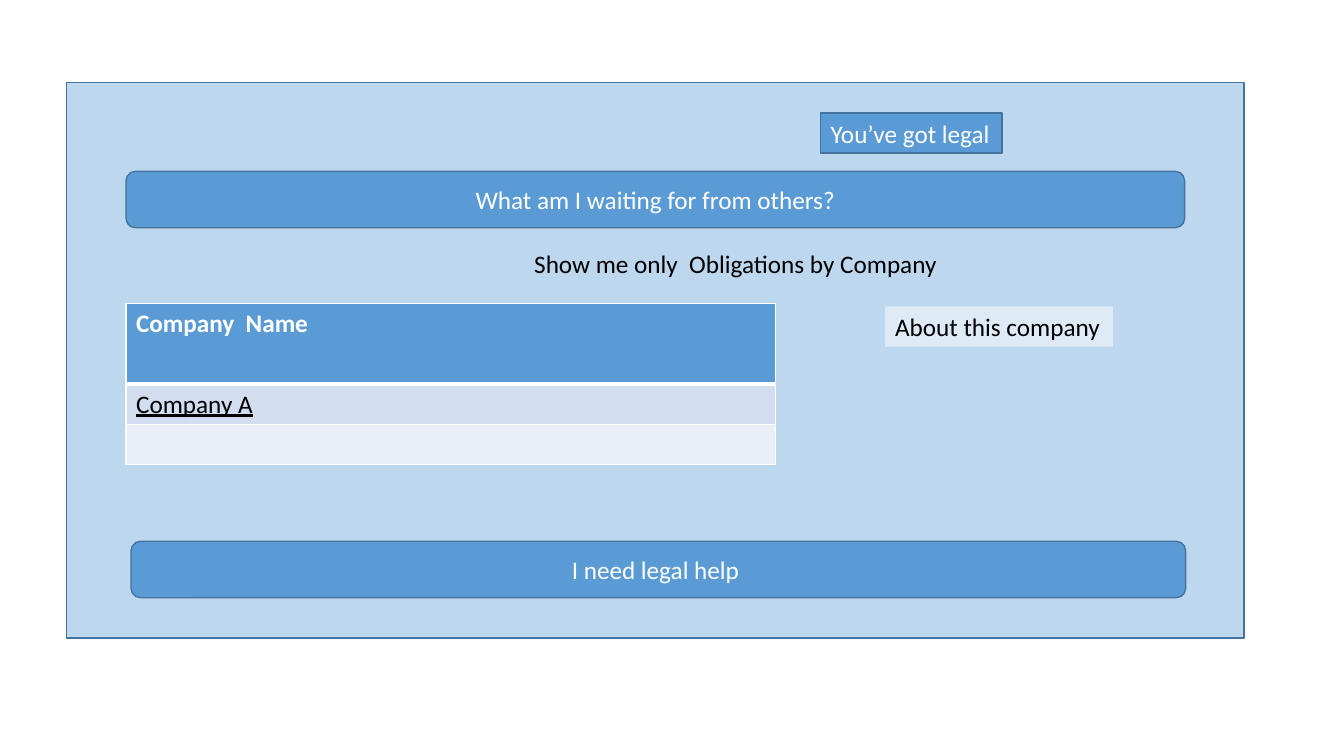
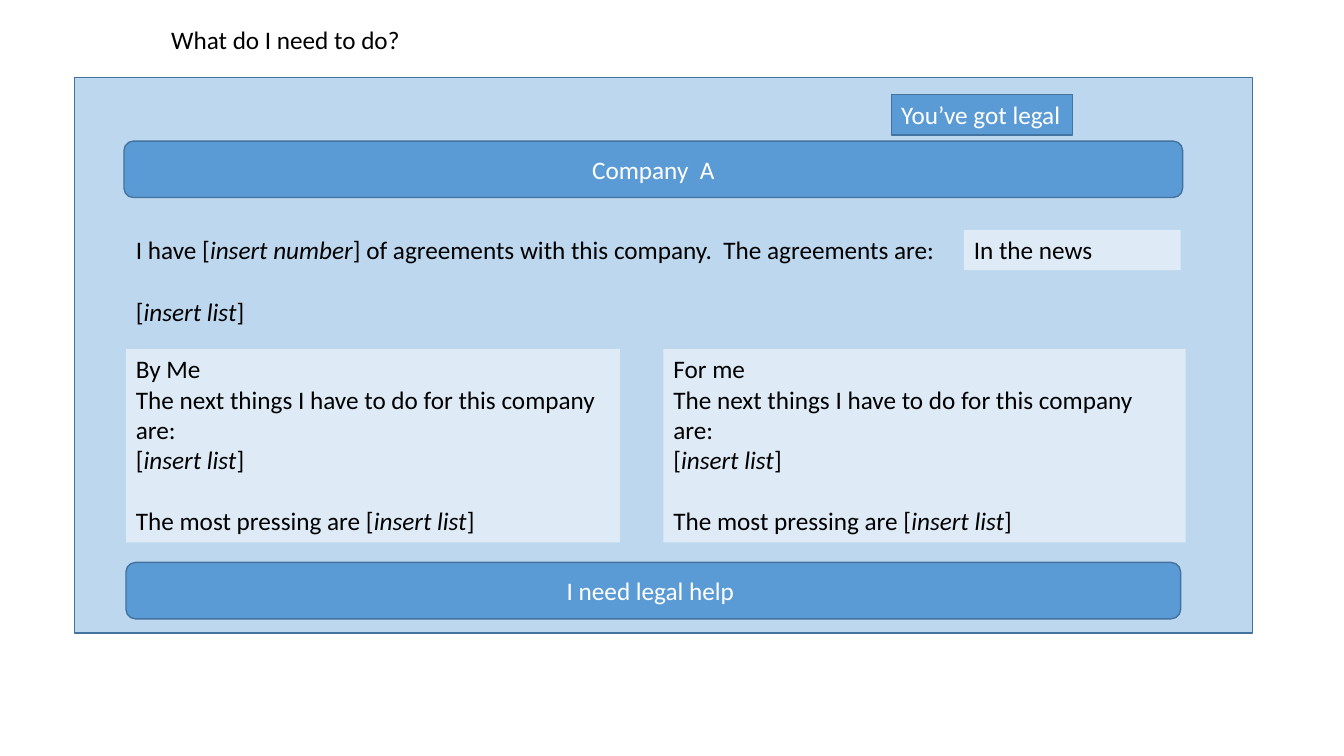
from pptx import Presentation, util as u
from pptx.dml.color import RGBColor
from pptx.enum import shapes as sh, text as tx
from pptx.oxml import parse_xml
from pptx.oxml.ns import nsdecls

FONT, SIZE, LINE = "Calibri", 18, 22
WHITE, BLACK = "FFFFFF", "000000"
BLUE, EDGE = "5B9BD5", "43739E"
RECT, ROUND = sh.MSO_SHAPE.RECTANGLE, sh.MSO_SHAPE.ROUNDED_RECTANGLE

# Looks shared by both slides
LOOKS = {
    "panel": dict(kind=RECT, fill="BDD7EE", edge=EDGE),
    "badge": dict(kind=RECT, fill=BLUE, edge=EDGE, color=WHITE, wrap=False),
    "bar": dict(kind=ROUND, fill=BLUE, edge=EDGE, color=WHITE, mid=True),
    "card": dict(kind=RECT, fill="DEEBF7"),
    "tag": dict(kind=RECT, fill="DEEBF7", wrap=False),
    "label": dict(wrap=False),
    "note": dict(),
}
PANEL, BADGE = (11.68, 5.51), (1.8, 0.4)
TOP_BAR, HELP_BAR = (10.5, 0.56), (10.46, 0.56)
LEGAL, HELP = ["You’ve got legal"], ["I need legal help "]

# Text between stars is italic; a leading ^ leaves one line free above.
LIST = "[*insert list*]"
AGREED = ["I have [*insert number*] of agreements with this company.  "
          "The agreements are:", "^" + LIST]
TASKS = ["The next things I have to do for this company are:", LIST,
         "^The most pressing are " + LIST]

# Per slide: look, left and top, size, paragraphs
SLIDES = [
    [("panel", (0.66, 0.82), PANEL, []),
     ("badge", (8.14, 1.12), BADGE, LEGAL),
     ("bar", (1.25, 1.7), TOP_BAR, ["What am I waiting for from others?"]),
     ("bar", (1.3, 5.37), HELP_BAR, HELP),
     ("label", (5.2, 2.41), (4.25, 0.4),
      ["Show me only  Obligations by Company"]),
     ("tag", (8.78, 3.04), (2.26, 0.4), ["About this company"])],
    [("panel", (0.74, 0.77), PANEL, []),
     ("badge", (8.84, 0.94), BADGE, LEGAL),
     ("bar", (1.23, 1.4), TOP_BAR, ["Company  A"]),
     ("label", (1.6, 0.19), (2.5, 0.4), ["What do I need to do?"]),
     ("bar", (1.25, 5.58), HELP_BAR, HELP),
     ("note", (1.25, 2.28), (8.78, 1.01), AGREED),
     ("card", (1.25, 3.46), (4.9, 1.92), ["By Me "] + TASKS),
     ("card", (6.58, 3.46), (5.18, 1.92), ["For me "] + TASKS),
     ("card", (9.56, 2.28), (2.15, 0.4), ["In the news"])],
]

# Company table: text, row height, fill, bottom border width, font
TABLE_AT, TABLE_W = (1.25, 3.01), 6.44
ROWS = [
    ("Company  Name", 0.8, BLUE, 3, dict(bold=True, color=WHITE)),
    ("Company A", 0.4, "D2DEEF", 1, dict(underline=True, bold=False)),
    ("", 0.4, "EAEFF7", 1, dict(bold=False)),
]


def paint(part, color):
    """Give a fill one solid colour."""
    part.solid()
    part.fore_color.rgb = RGBColor.from_string(color)


def style(font, color=BLACK, **form):
    """Set the shared font and any further format values."""
    form = dict(name=FONT, size=u.Pt(SIZE)) | form
    for key, val in form.items():
        setattr(font, key, val)
    font.color.rgb = RGBColor.from_string(color)


def write(frame, lines, color=BLACK, wrap=True, mid=False):
    """Fill a text frame with paragraphs."""
    form = dict(
        word_wrap=wrap,
        vertical_anchor=tx.MSO_ANCHOR.MIDDLE if mid else tx.MSO_ANCHOR.TOP,
        auto_size=(tx.MSO_AUTO_SIZE.NONE if mid
                   else tx.MSO_AUTO_SIZE.SHAPE_TO_FIT_TEXT))
    for key, val in form.items():
        setattr(frame, key, val)
    for i, line in enumerate(lines):
        para = frame.add_paragraph() if i else frame.paragraphs[0]
        para.alignment = tx.PP_ALIGN.CENTER if mid else tx.PP_ALIGN.LEFT
        if line.startswith("^"):
            para.space_before = u.Pt(LINE)
        for j, part in enumerate(line.lstrip("^").split("*")):
            run = para.add_run()
            run.text = part
            style(run.font, color, italic=j % 2 == 1)


def place(slide, look, spot, size, lines):
    """Add one shape or text box in a shared look."""
    form = dict(LOOKS[look])
    kind, fill, edge = (form.pop(k, None) for k in ("kind", "fill", "edge"))
    box = [u.Inches(v) for v in spot + size]
    if kind is None:
        shape = slide.shapes.add_textbox(*box)
    else:
        shape = slide.shapes.add_shape(kind, *box)
        shape.shadow.inherit = False
        paint(shape.fill, fill)
        if edge:
            paint(shape.line.fill, edge)
            shape.line.width = u.Pt(1)
        else:
            shape.line.fill.background()
    if lines:
        write(shape.text_frame, lines, **form)


def border(cell, base):
    """Draw white lines around a table cell."""
    props = cell._tc.get_or_add_tcPr()
    for i, (side, wide) in enumerate(dict(L=1, R=1, T=1, B=base).items()):
        props.insert(i, parse_xml(
            f'<a:ln{side} {nsdecls("a")} w="{u.Pt(wide)}"><a:solidFill>'
            f'<a:srgbClr val="{WHITE}"/></a:solidFill></a:ln{side}>'))


def tabulate(slide):
    """Add the company table."""
    high = sum(row[1] for row in ROWS)
    box = [u.Inches(v) for v in TABLE_AT + (TABLE_W, high)]
    table = slide.shapes.add_table(len(ROWS), 1, *box).table
    for i, (words, tall, fill, base, form) in enumerate(ROWS):
        table.rows[i].height = u.Inches(tall)
        cell = table.cell(i, 0)
        paint(cell.fill, fill)
        border(cell, base)
        if i:
            # The shared edge keeps the width set by the row above.
            top = cell._tc.tcPr[2]
            top.set("w", str(u.Pt(ROWS[i - 1][3])))
        if words:
            cell.text = words
            style(cell.text_frame.paragraphs[0].runs[0].font, **form)


deck = Presentation()
deck.slide_width, deck.slide_height = u.Inches(13.33), u.Inches(7.5)
pages = []
for parts in SLIDES:
    page = deck.slides.add_slide(deck.slide_layouts[6])
    for part in parts:
        place(page, *part)
    pages.append(page)
tabulate(pages[0])
deck.save("out.pptx")
